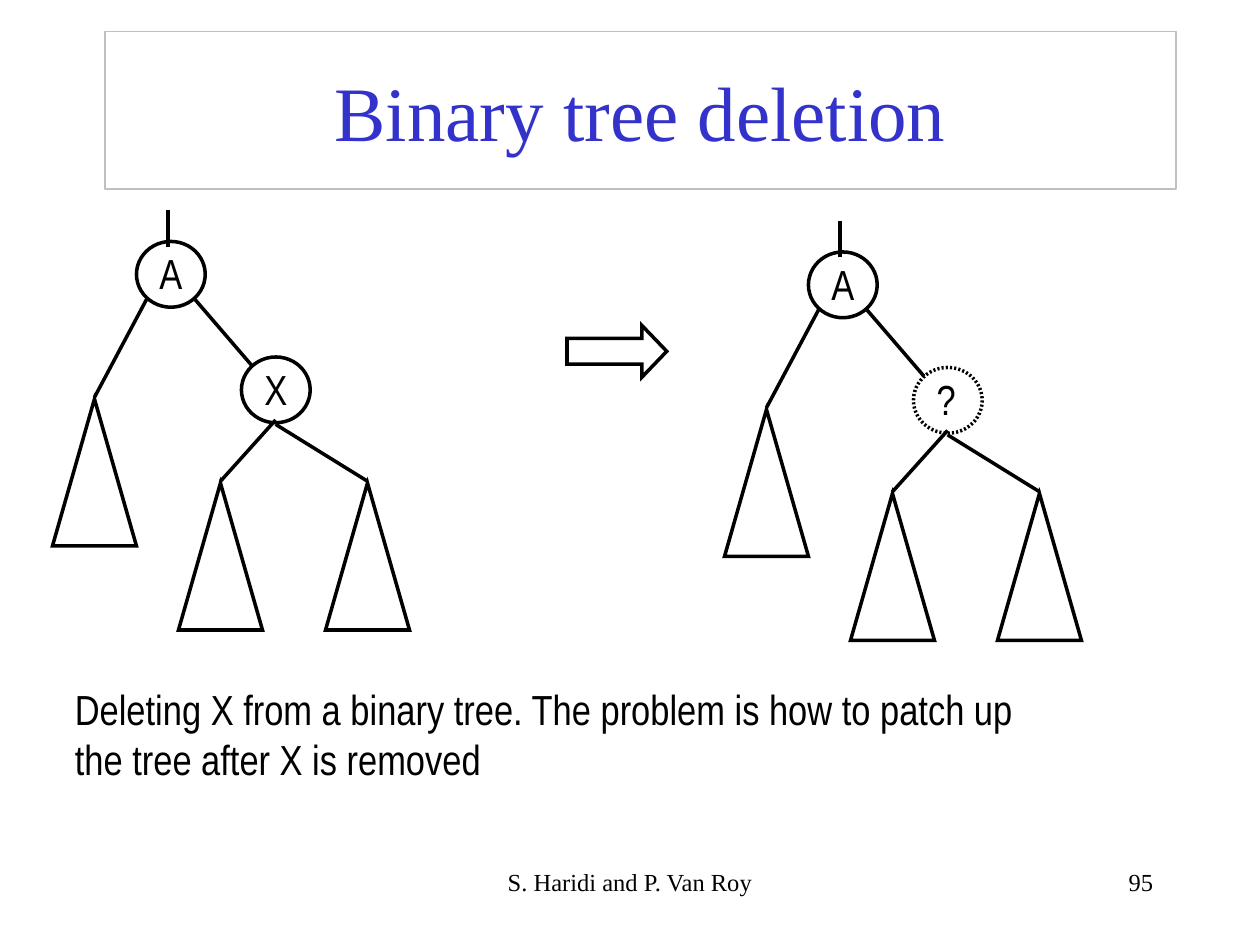
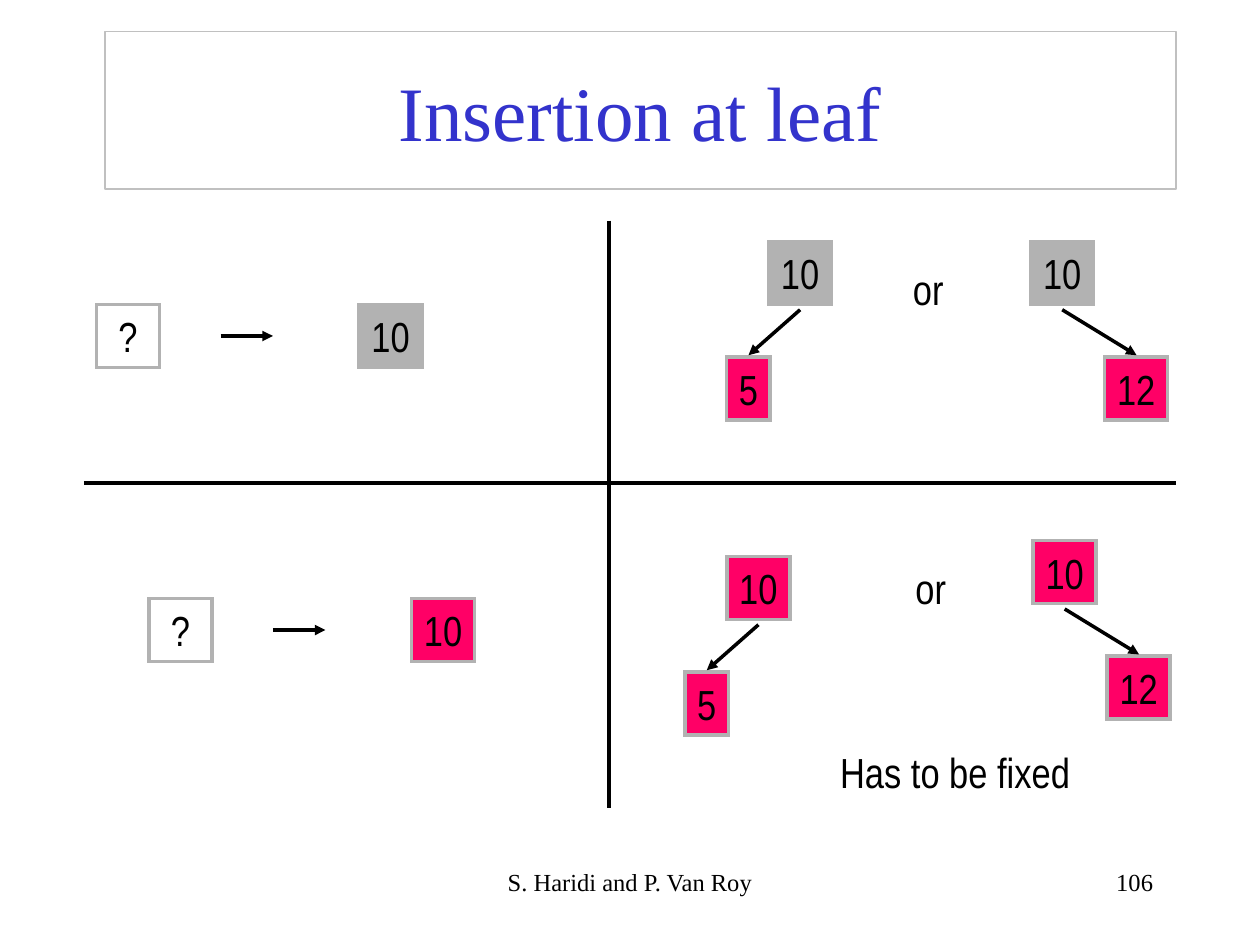
"""Build two slides on binary tree deletion and leaf insertion."""
from dataclasses import dataclass

from lxml import etree
from pptx import Presentation
from pptx.dml.color import RGBColor
from pptx.enum.shapes import MSO_CONNECTOR, MSO_SHAPE
from pptx.enum.text import MSO_ANCHOR, MSO_AUTO_SIZE, PP_ALIGN
from pptx.oxml.ns import qn
from pptx.util import Pt

LEFT, CENTER, RIGHT = PP_ALIGN.LEFT, PP_ALIGN.CENTER, PP_ALIGN.RIGHT
MIDDLE = MSO_ANCHOR.MIDDLE
FIT_TEXT, NO_FIT = MSO_AUTO_SIZE.SHAPE_TO_FIT_TEXT, MSO_AUTO_SIZE.NONE
OVAL, TRIANGLE = MSO_SHAPE.OVAL, MSO_SHAPE.ISOSCELES_TRIANGLE
BOX, BLOCK_ARROW = MSO_SHAPE.RECTANGLE, MSO_SHAPE.RIGHT_ARROW
STRAIGHT = MSO_CONNECTOR.STRAIGHT

BLACK, WHITE, GRAY, PINK = "000000", "FFFFFF", "B2B2B2", "FF0066"
TITLE_BLUE, TITLE_BORDER = "3333CC", "C0C0C0"
SERIF, NARROW = "Times New Roman", "Arial Narrow"
STROKE = 2
NODE = 36
CHILD_DROP = 66
FOOTER = "S. Haridi and P. Van Roy"


@dataclass(frozen=True)
class Tree:
    """A binary tree with the offset of its parts and its removed node."""
    dx: float
    dy: float
    child: str
    child_label_x: float
    child_label_width: float
    removed: bool


@dataclass(frozen=True)
class Branch:
    """A parent node with one newly inserted child."""
    x: float
    y: float
    fill: str
    value: str
    child_dx: float
    child_width: float
    tip_dx: float


@dataclass(frozen=True)
class Replacement:
    """An empty leaf that becomes a node holding 10."""
    x: float
    y: float
    fill: str


@dataclass(frozen=True)
class Label:
    """A free text with its place."""
    text: str
    x: float
    y: float
    width: float
    height: float = 36


TREES = (Tree(0, 0, "X", 144, 27, False), Tree(384, 6, "?", 144.2, 25, True))
SUBTREES = ((30, 228), (102, 276), (186, 276))
TREE_EDGES = (
    (83.8, 171, 54, 227),
    (96, 120, 96, 141),
    (111.5, 171.2, 144, 209),
    (126, 275, 157.5, 240),
    (210, 275, 157.5, 242.5),
)
BRANCHES = (
    Branch(439.2, 138, GRAY, "5", -24, 25, -11.5),
    Branch(589, 138, GRAY, "12", 42.3, NODE, 60.5),
    Branch(415.4, 318, PINK, "5", -24, 25, -11.5),
    Branch(590.4, 309, PINK, "12", 42.3, NODE, 60.5),
)
REPLACEMENTS = (Replacement(55.2, 174, GRAY), Replacement(85.2, 342, PINK))
DIVIDERS = ((48, 276, 672, 276), (348, 126, 348, 276), (348, 276, 348, 462))
INSERTION_LABELS = (
    Label("or", 514.6, 147, 31.5),
    Label("or", 516, 318, 31.5),
    Label("Has to be fixed", 473, 423, 145.5),
)
DELETION_NOTE = Label(
    "Deleting X from a binary tree. The problem is how to patch up\n"
    "the tree after X is removed", 35.7, 387, 550, 65)


def rgb(color: str) -> RGBColor:
    """Turn a hex string into a colour."""
    return RGBColor.from_string(color)


def style_text(frame, text: str, size: float, font: str, color: str = BLACK,
               align=LEFT) -> None:
    """Write text into a frame and format every run."""
    frame.text = text
    for paragraph in frame.paragraphs:
        paragraph.alignment = align
        for run in paragraph.runs:
            run.font.size = Pt(size)
            run.font.name = font
            run.font.color.rgb = rgb(color)


def add_outline(slide, kind, x: float, y: float, width: float, height: float,
                fill: str = "", border: str = BLACK, dotted: bool = False):
    """Add a preset shape with a sharp outline and an optional fill."""
    outline = slide.shapes.add_shape(kind, Pt(x), Pt(y), Pt(width), Pt(height))
    outline.shadow.inherit = False
    if fill:
        outline.fill.solid()
        outline.fill.fore_color.rgb = rgb(fill)
    else:
        outline.fill.background()
    outline.line.color.rgb = rgb(border)
    outline.line.width = Pt(STROKE)
    stroke = outline.line._get_or_add_ln()
    if dotted:
        dashes = etree.SubElement(stroke, qn("a:custDash"))
        etree.SubElement(dashes, qn("a:ds"), d="60000", sp="60000")
    etree.SubElement(stroke, qn("a:miter"), lim="800000")
    return outline


def add_edge(slide, x1: float, y1: float, x2: float, y2: float,
             arrow: bool = False) -> None:
    """Add a straight line, with an arrowhead at its end if wanted."""
    edge = slide.shapes.add_connector(STRAIGHT, Pt(x1), Pt(y1), Pt(x2), Pt(y2))
    edge.line.color.rgb = rgb(BLACK)
    edge.line.width = Pt(STROKE)
    if arrow:
        etree.SubElement(edge.line._get_or_add_ln(), qn("a:tailEnd"), type="triangle")
    etree.SubElement(edge._element.spPr, qn("a:effectLst"))


def add_label(slide, label: Label) -> None:
    """Add a free narrow text that does not wrap."""
    frame = slide.shapes.add_textbox(
        Pt(label.x), Pt(label.y), Pt(label.width), Pt(label.height)).text_frame
    frame.word_wrap = False
    frame.margin_right = Pt(0)
    style_text(frame, label.text, 24, NARROW)


def add_footer(slide, text: str, x: float, width: float, align) -> None:
    """Add one part of the footer line."""
    frame = slide.shapes.add_textbox(Pt(x), Pt(492), Pt(width), Pt(36)).text_frame
    frame.word_wrap = True
    style_text(frame, text, 14, SERIF, align=align)


def add_slide(deck, title_text: str, number: int):
    """Add a slide with its framed title and footer."""
    slide = deck.slides.add_slide(deck.slide_layouts[5])
    title = slide.shapes.title
    title.left, title.top, title.width, title.height = Pt(60), Pt(18), Pt(612), Pt(90)
    title.line.color.rgb = rgb(TITLE_BORDER)
    title.line.width = Pt(0.75)
    title.text_frame.auto_size = NO_FIT
    title.text_frame.vertical_anchor = MIDDLE
    style_text(title.text_frame, title_text, 44, SERIF, TITLE_BLUE, CENTER)
    add_footer(slide, FOOTER, 246, 228, CENTER)
    add_footer(slide, str(number), 516, 150, RIGHT)
    return slide


def add_tree(slide, tree: Tree) -> None:
    """Draw a tree with root A and the node that gets deleted."""
    dx, dy = tree.dx, tree.dy
    add_outline(slide, OVAL, 78 + dx, 138 + dy, 39.3, 37.6)
    add_outline(slide, OVAL, 138 + dx, 204 + dy, 39.3, 37.6, dotted=tree.removed)
    for x, y in SUBTREES:
        add_outline(slide, TRIANGLE, x + dx, y + dy, 48, 84)
    for x1, y1, x2, y2 in TREE_EDGES:
        add_edge(slide, x1 + dx, y1 + dy, x2 + dx, y2 + dy)
    add_label(slide, Label("A", 84 + dx, 138 + dy, 27))
    add_label(slide, Label(tree.child, tree.child_label_x + dx, 204 + dy,
                           tree.child_label_width))


def add_node(slide, value: str, x: float, y: float, fill: str,
             width: float = NODE) -> None:
    """Add a boxed node with its value."""
    frame = add_outline(slide, BOX, x, y, width, NODE, fill, GRAY).text_frame
    frame.word_wrap = False
    frame.auto_size = FIT_TEXT
    frame.margin_left = frame.margin_right = Pt(0)
    style_text(frame, value, 24, NARROW, align=CENTER)


def add_branch(slide, branch: Branch) -> None:
    """Draw a parent node, its new child and the arrow between them."""
    x, y = branch.x, branch.y
    add_node(slide, "10", x, y, branch.fill)
    add_node(slide, branch.value, x + branch.child_dx, y + CHILD_DROP, PINK,
             branch.child_width)
    add_edge(slide, x + NODE / 2, y + 39, x + branch.tip_dx, y + 65, arrow=True)


def add_replacement(slide, leaf: Replacement) -> None:
    """Draw an empty leaf, an arrow and the node that replaces it."""
    middle = leaf.y + NODE / 2
    add_node(slide, "?", leaf.x, leaf.y, WHITE)
    add_edge(slide, leaf.x + 70.8, middle, leaf.x + 100.8, middle, arrow=True)
    add_node(slide, "10", leaf.x + 150, leaf.y, leaf.fill)


def build_deletion(deck) -> None:
    """Build the slide on deleting a node."""
    slide = add_slide(deck, "Binary tree deletion", 95)
    for tree in TREES:
        add_tree(slide, tree)
    becomes = add_outline(slide, BLOCK_ARROW, 324, 186, 57, 29.5)
    becomes.adjustments[1] = 0.48
    add_label(slide, DELETION_NOTE)


def build_insertion(deck) -> None:
    """Build the slide on inserting at a leaf."""
    slide = add_slide(deck, "Insertion at leaf", 106)
    for divider in DIVIDERS:
        add_edge(slide, *divider)
    for leaf in REPLACEMENTS:
        add_replacement(slide, leaf)
    for branch in BRANCHES:
        add_branch(slide, branch)
    for label in INSERTION_LABELS:
        add_label(slide, label)


def main() -> None:
    """Build and save the deck."""
    deck = Presentation()
    deck.slide_width, deck.slide_height = Pt(720), Pt(540)
    build_deletion(deck)
    build_insertion(deck)
    deck.save("out.pptx")


if __name__ == "__main__":
    main()
